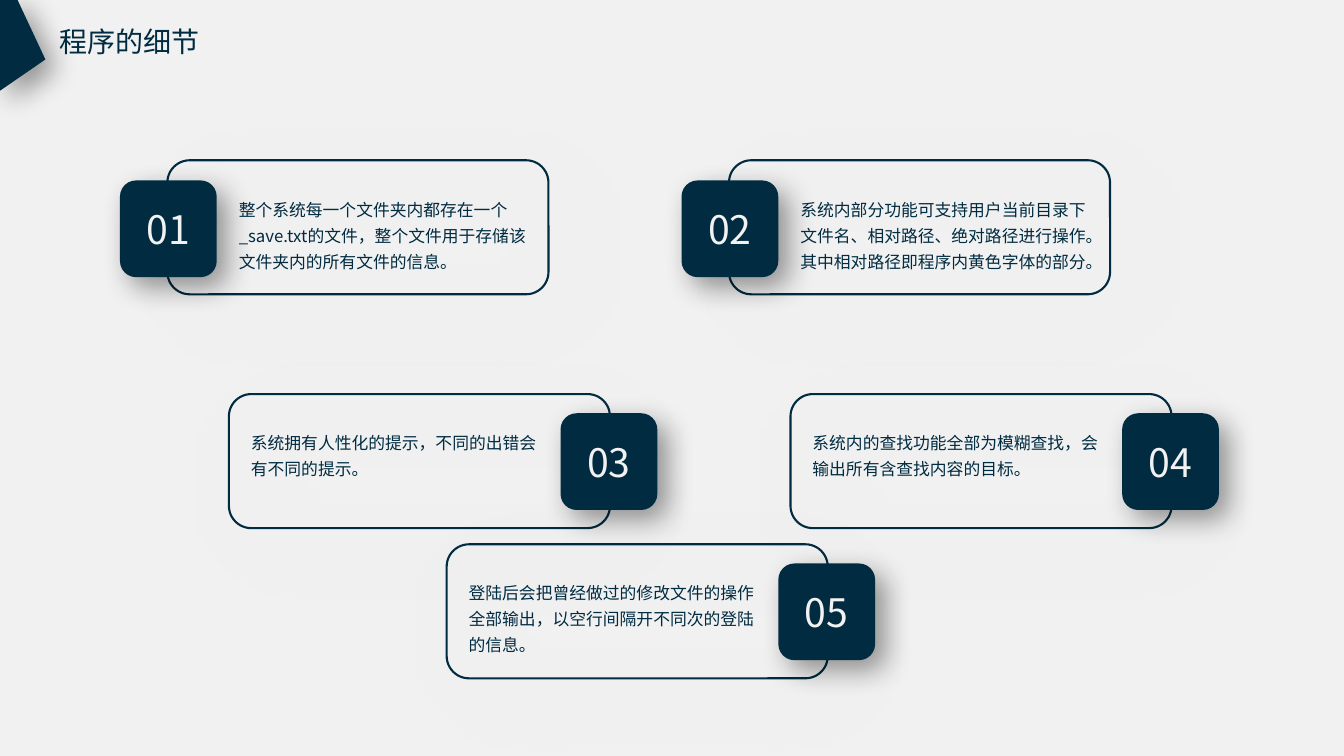
from dataclasses import dataclass

from lxml import etree
from pptx import Presentation
from pptx.dml.color import RGBColor
from pptx.enum.shapes import MSO_SHAPE
from pptx.enum.text import MSO_ANCHOR, MSO_AUTO_SIZE, PP_ALIGN
from pptx.oxml.ns import qn
from pptx.util import Inches, Pt

ROUNDED = MSO_SHAPE.ROUNDED_RECTANGLE
LEFT, CENTER = PP_ALIGN.LEFT, PP_ALIGN.CENTER
TOP, MIDDLE = MSO_ANCHOR.TOP, MSO_ANCHOR.MIDDLE
FIT_SHAPE = MSO_AUTO_SIZE.SHAPE_TO_FIT_TEXT

FONT = "Noto Sans CJK SC"
NAVY, PAPER, PALE = "002B41", "F1F1F1", "F2F2F2"

# Card measures, in inches
COLUMN_PITCH = 5.57
CARD_WIDTH, CARD_HEIGHT = 3.78, 1.33
BADGE_SIZE, BADGE_OVERHANG = 0.96, 0.47
TEXT_WIDTH, TEXT_BELOW_BADGE, LINE_HEIGHT, TEXT_PADDING = 3.06, 0.08, 0.26, 0.1


@dataclass(frozen=True)
class Shadow:
    color: str
    opacity: int
    blur: int
    distance: int
    angle: int = 45


@dataclass(frozen=True)
class Row:
    left: float
    top: float
    badge_drop: float
    badge_on_left: bool


@dataclass(frozen=True)
class Card:
    number: str
    text: str
    row: Row
    column: int
    lines: int


BADGE_SHADOW = Shadow("000000", 40, 20, 10)
CARD_SHADOW = Shadow("808080", 20, 50, 20)

UPPER = Row(1.66, 1.59, 0.2, True)
CENTRAL = Row(2.27, 3.91, 0.19, False)
LOWER = Row(4.43, 5.4, 0.19, False)

CARDS = [
    Card("01", "整个系统每一个文件夹内都存在一个_save.txt的文件，整个文件用于存储"
               "该文件夹内的所有文件的信息。", UPPER, 0, 3),
    Card("02", "系统内部分功能可支持用户当前目录下文件名、相对路径、绝对路径进行操作。"
               "其中相对路径即程序内黄色字体的部分。", UPPER, 1, 3),
    Card("03", "系统拥有人性化的提示，不同的出错会有不同的提示。", CENTRAL, 0, 2),
    Card("04", "系统内的查找功能全部为模糊查找，会输出所有含查找内容的目标。",
         CENTRAL, 1, 2),
    Card("05", "登陆后会把曾经做过的修改文件的操作全部输出，以空行间隔开不同次的登陆的信息。",
         LOWER, 0, 3),
]


def rgb(color: str) -> RGBColor:
    return RGBColor.from_string(color)


def write(shape, text: str, size: int, color: str, align=LEFT, anchor=TOP,
          line_spacing: float = 1.0) -> None:
    frame = shape.text_frame
    frame.text = text
    frame.word_wrap = True
    frame.vertical_anchor = anchor
    paragraph = frame.paragraphs[0]
    paragraph.alignment = align
    paragraph.line_spacing = line_spacing
    for run in paragraph.runs:
        run.font.size = Pt(size)
        run.font.name = FONT
        run.font.color.rgb = rgb(color)
        # The East Asian typeface follows the Latin one
        latin = run.font._element.find(qn("a:latin"))
        east_asian = etree.Element(qn("a:ea"), typeface=FONT)
        latin.addnext(east_asian)


def cast_shadow(shape, shadow: Shadow) -> None:
    shape.shadow.inherit = False
    effects = shape._element.spPr.find(qn("a:effectLst"))
    outer = etree.SubElement(
        effects, qn("a:outerShdw"), blurRad=str(Pt(shadow.blur)),
        dist=str(Pt(shadow.distance)), dir=str(shadow.angle * 60000),
        algn="tl", rotWithShape="0")
    color = etree.SubElement(outer, qn("a:srgbClr"), val=shadow.color)
    etree.SubElement(color, qn("a:alpha"), val=str(shadow.opacity * 1000))


def fill_navy(shape) -> None:
    shape.fill.solid()
    shape.fill.fore_color.rgb = rgb(NAVY)
    shape.line.fill.background()
    cast_shadow(shape, BADGE_SHADOW)


def add_title(slide, text: str) -> None:
    title = slide.shapes.title
    title.left, title.top = Inches(0.49), Inches(0.19)
    title.width, title.height = Inches(1.65), Inches(0.44)
    write(title, text, 20, NAVY)
    title.text_frame.word_wrap = False
    title.text_frame.auto_size = FIT_SHAPE


def add_corner(slide) -> None:
    # Points in hundredths of an inch
    outline = [(0, -1), (0, 90), (45, 59)]
    builder = slide.shapes.build_freeform(17, -1, scale=Inches(0.01))
    builder.add_line_segments(outline, close=True)
    fill_navy(builder.convert_to_shape())


def add_card(slide, card: Card) -> None:
    left = card.row.left + card.column * COLUMN_PITCH
    top = card.row.top
    badge_top = top + card.row.badge_drop
    if card.row.badge_on_left:
        badge_left, text_left = left - BADGE_OVERHANG, left + 0.61
    else:
        badge_left = left + CARD_WIDTH + BADGE_OVERHANG - BADGE_SIZE
        text_left = left + 0.12

    # Outlined frame
    frame = slide.shapes.add_shape(ROUNDED, Inches(left), Inches(top),
                                   Inches(CARD_WIDTH), Inches(CARD_HEIGHT))
    frame.fill.background()
    frame.line.color.rgb = rgb(NAVY)
    frame.line.width = Pt(1.5)
    cast_shadow(frame, CARD_SHADOW)

    # Numbered badge
    badge = slide.shapes.add_shape(ROUNDED, Inches(badge_left), Inches(badge_top),
                                   Inches(BADGE_SIZE), Inches(BADGE_SIZE))
    fill_navy(badge)
    write(badge, card.number, 28, PALE, CENTER, MIDDLE)

    # Description
    height = card.lines * LINE_HEIGHT + TEXT_PADDING
    box = slide.shapes.add_textbox(Inches(text_left), Inches(badge_top + TEXT_BELOW_BADGE),
                                   Inches(TEXT_WIDTH), Inches(height))
    write(box, card.text, 12, NAVY, line_spacing=1.3)
    box.text_frame.auto_size = FIT_SHAPE


def main() -> None:
    presentation = Presentation()
    presentation.slide_width = Inches(13.33)
    presentation.slide_height = Inches(7.5)
    slide = presentation.slides.add_slide(presentation.slide_layouts[5])
    slide.background.fill.solid()
    slide.background.fill.fore_color.rgb = rgb(PAPER)

    add_title(slide, "程序的细节")
    add_corner(slide)
    for card in CARDS:
        add_card(slide, card)
    presentation.save("out.pptx")


if __name__ == "__main__":
    main()
